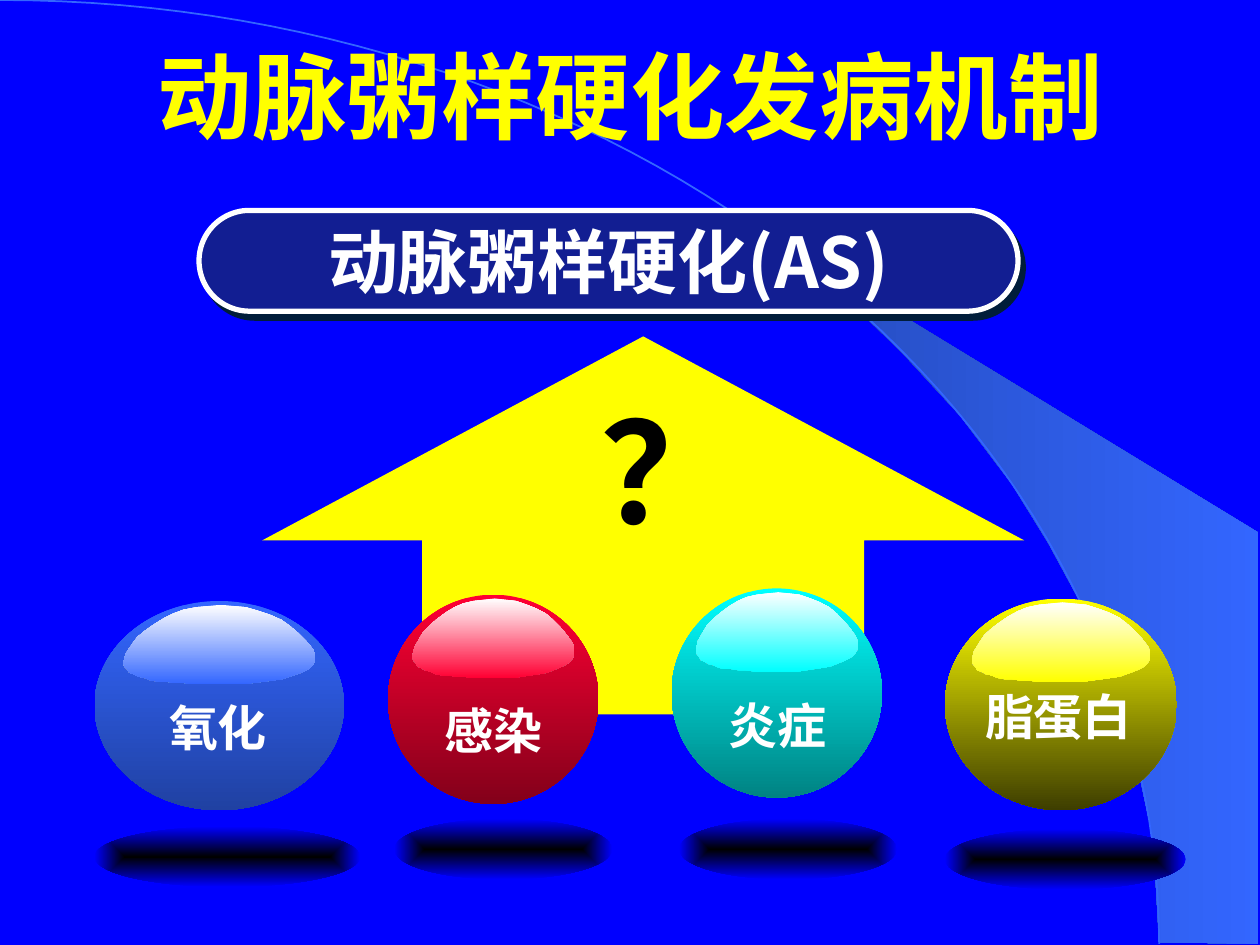
import math
from dataclasses import dataclass
from lxml import etree
from pptx import Presentation, util as u
from pptx.dml.color import RGBColor
from pptx.enum import shapes, text
from pptx.oxml.ns import qn

KIND = shapes.MSO_SHAPE


@dataclass(frozen=True)
class Theme:
    back: str = "0000FF"
    swoosh: str = "2449B6"
    light: str = "3366FF"
    yellow: str = "FFFF00"
    navy: str = "121E92"
    shade: str = "001D3A"
    white: str = "FFFFFF"
    black: str = "000000"
    face: str = "Arial"
    asian: str = "Noto Sans CJK SC"
    title: int = 54
    pill: int = 40
    mark: int = 80
    label: int = 28


# Wing outline in inches
WING = [(9.2, 7.48), (9.99, 7.49), (9.99, 4.23), (5.89, 1.73), (6.24, 1.99),
        (6.53, 2.22), (6.85, 2.5), (7.16, 2.8), (7.62, 3.3), (8.03, 3.84),
        (8.32, 4.31), (8.58, 4.79), (8.78, 5.28), (8.93, 5.72), (9.03, 6.09),
        (9.13, 6.56), (9.17, 6.96)]

# Highlight outline on a grid of 153 by 63
GLOSS = [(151, 35), (153, 39), (153, 45), (151, 48), (148, 51), (144, 53),
         (139, 55), (133, 57), (127, 59), (120, 60), (112, 61), (104, 62),
         (96, 63), (56, 63), (48, 62), (41, 62), (34, 61), (28, 61), (22, 60),
         (17, 58), (12, 57), (8, 55), (5, 54), (3, 51), (1, 49), (0, 46),
         (1, 43), (2, 39), (6, 33), (11, 26), (17, 21), (24, 16), (32, 11),
         (40, 7), (48, 4), (58, 2), (68, 1), (78, 0), (88, 1), (98, 2),
         (108, 5), (117, 8), (126, 12), (133, 17), (140, 23), (146, 29)]

# Label, bright, dark, ball box, label box, shadow (left, top, width)
BALLS = [
    ("氧化", "3366FF", "2041A2", (0.75, 4.77, 1.98, 1.66), (1.13, 5.49, 1.2, 0.57), (0.75, 6.56, 2.11)),
    ("感染", "FF0033", "83001A", (3.08, 4.72, 1.67, 1.66), (3.17, 5.51, 1.5, 0.57), (3.13, 6.5, 1.73)),
    ("炎症", "00FFFF", "008383", (5.33, 4.67, 1.67, 1.66), (5.42, 5.47, 1.5, 0.57), (5.39, 6.5, 1.73)),
    ("脂蛋白", "FFFF00", "3E3E00", (7.5, 4.75, 1.84, 1.68), (7.64, 5.4, 1.52, 0.57), (7.5, 6.58, 1.91)),
]


def rgb(code):
    return RGBColor.from_string(code)


def inches(box):
    return [u.Inches(v) for v in box]


class Deck:
    def __init__(self, theme):
        self.theme = theme
        self.show = Presentation()
        self.show.slide_width, self.show.slide_height = inches((10, 7.5))
        self.slide = self.show.slides.add_slide(self.show.slide_layouts[5])
        self.layer = self.slide.shapes
        back = self.slide.background.fill
        back.solid()
        back.fore_color.rgb = rgb(theme.back)

    def paint(self, shape, fill=None, line=None, width=1, angle=270):
        """Fill with one colour, a pair as a gradient, or nothing."""
        shape.shadow.inherit = False
        if fill is None:
            shape.fill.background()
        elif isinstance(fill, str):
            shape.fill.solid()
            shape.fill.fore_color.rgb = rgb(fill)
        else:
            shape.fill.gradient()
            shape.fill.gradient_angle = angle
            for stop, code in zip(shape.fill.gradient_stops, fill):
                stop.color.rgb = rgb(code)
        if line:
            shape.line.color.rgb = rgb(line)
            shape.line.width = u.Pt(width)
        else:
            shape.line.fill.background()
        return shape

    def shape(self, kind, box, adjust=(), **look):
        item = self.layer.add_shape(kind, *inches(box))
        for i, value in enumerate(adjust):
            item.adjustments[i] = value
        return self.paint(item, **look)

    def outline(self, points, close=True, **look):
        first, *rest = [inches(p) for p in points]
        pen = self.layer.build_freeform(*first)
        pen.add_line_segments(rest, close=close)
        return self.paint(pen.convert_to_shape(), **look)

    def words(self, shape, string, size, color, **format):
        frame = shape.text_frame
        for key, value in {"word_wrap": True, **format}.items():
            setattr(frame, key, value)
        para = frame.paragraphs[0]
        para.alignment = text.PP_ALIGN.CENTER
        run = para.add_run()
        run.text = string
        style = {"name": self.theme.face, "size": u.Pt(size), "bold": True}
        for key, value in style.items():
            setattr(run.font, key, value)
        run.font.color.rgb = rgb(color)
        latin = run._r.rPr.find(qn("a:latin"))
        asian = etree.Element(qn("a:ea"), typeface=self.theme.asian)
        latin.addnext(asian)
        return run

    def label(self, string, box, size, color):
        item = self.layer.add_textbox(*inches(box))
        self.words(item, string, size, color,
                   auto_size=text.MSO_AUTO_SIZE.SHAPE_TO_FIT_TEXT)

    def title(self, string, box):
        item = self.slide.shapes.title
        item.left, item.top, item.width, item.height = inches(box)
        self.words(item, string, self.theme.title, self.theme.yellow,
                   vertical_anchor=text.MSO_ANCHOR.MIDDLE)
        self.slide.shapes._spTree.append(item._element)

    def pill(self, string, box):
        t = self.theme
        item = self.shape(KIND.ROUNDED_RECTANGLE, box, [0.5], fill=t.navy,
                          line=t.white, width=3)
        run = self.words(item, string, t.pill, t.white, word_wrap=False,
                         vertical_anchor=text.MSO_ANCHOR.MIDDLE)
        run.font.name = t.asian
        cast = etree.SubElement(
            item._element.spPr.find(qn("a:effectLst")), qn("a:outerShdw"),
            dist=str(u.Pt(5)), dir=str(53 * 60000), algn="ctr", rotWithShape="0")
        etree.SubElement(cast, qn("a:srgbClr"), val=t.shade)

    def glow(self, box):
        """Ellipse that fades from black at its middle to the background."""
        t = self.theme
        item = self.shape(KIND.OVAL, box, fill=(t.black, t.back))
        line = item._element.spPr.find(qn("a:gradFill")).find(qn("a:lin"))
        fade = etree.Element(qn("a:path"), path="shape")
        etree.SubElement(fade, qn("a:fillToRect"),
                         {side: "50000" for side in "ltrb"})
        line.getparent().replace(line, fade)

    def ball(self, string, bright, dark, box, place, shade):
        t = self.theme
        self.layer = self.slide.shapes.add_group_shape().shapes
        self.shape(KIND.OVAL, box, fill=(bright, dark))
        left, top, width, _ = box
        span = 0.77 * width
        start = left + (width - span) / 2
        self.outline([(start + x / 153 * span, top + 0.03 + y / 100)
                      for x, y in GLOSS], fill=(t.white, bright))
        self.label(string, place, t.label, t.white)
        self.glow((*shade, 0.48))
        self.layer = self.slide.shapes


def main():
    t = Theme()
    deck = Deck(t)
    deck.outline(WING, fill=(t.swoosh, t.light), angle=0)
    turns = [math.pi / 2 * i / 60 for i in range(61)]
    deck.outline([(9.2 * math.sin(a), 7.49 * (1 - math.cos(a))) for a in turns],
                 close=False, line=t.light)
    deck.title("动脉粥样硬化发病机制", (0.75, 0.28, 8.5, 0.95))
    deck.shape(KIND.UP_ARROW, (2.08, 2.67, 6.05, 3), (0.58, 0.54), fill=t.yellow)
    deck.pill("动脉粥样硬化(AS)", (1.58, 1.67, 6.5, 0.8))
    deck.label("？", (4.67, 3, 1.08, 1.43), t.mark, t.black)
    for ball in BALLS:
        deck.ball(*ball)
    deck.show.save("out.pptx")


if __name__ == "__main__":
    main()
